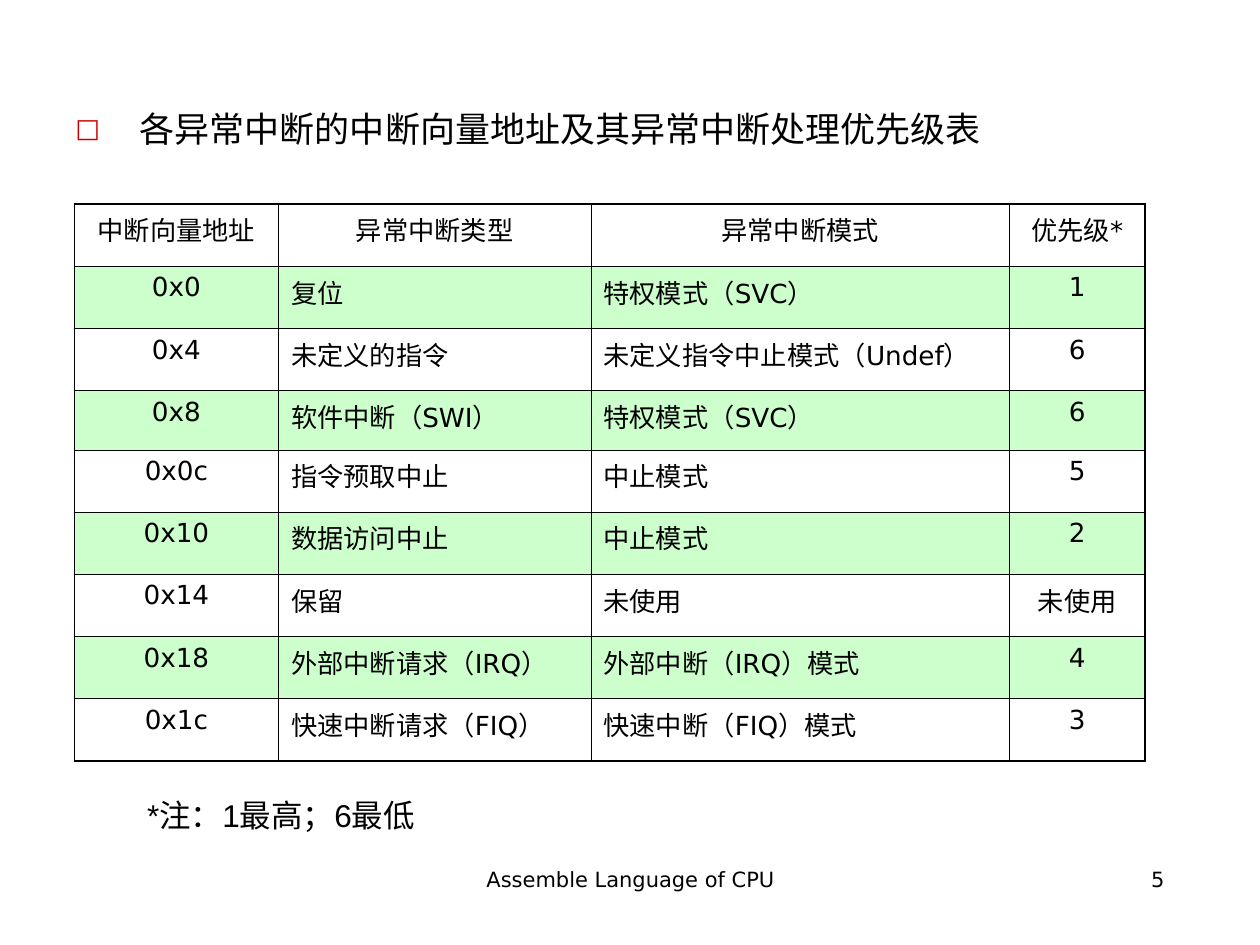
from lxml import etree
from pptx import Presentation
from pptx.dml.color import RGBColor
from pptx.enum.text import PP_ALIGN
from pptx.oxml.ns import qn
from pptx.util import Inches, Pt

COLORS = {"text": "000000", "line": "000000", "bullet": "CC0000", "band": "CCFFCC"}
FONT, NOTE_FONT = "DejaVu Sans", "Arial"

TITLE = "各异常中断的中断向量地址及其异常中断处理优先级表"
NOTE = "*注：1最高；6最低"
FOOTER = "Assemble Language of CPU"
PAGE = "5"
ROWS = [
    ("中断向量地址", "异常中断类型", "异常中断模式", "优先级*"),
    ("0x0", "复位", "特权模式（SVC）", "1"),
    ("0x4", "未定义的指令", "未定义指令中止模式（Undef）", "6"),
    ("0x8", "软件中断（SWI）", "特权模式（SVC）", "6"),
    ("0x0c", "指令预取中止", "中止模式", "5"),
    ("0x10", "数据访问中止", "中止模式", "2"),
    ("0x14", "保留", "未使用", "未使用"),
    ("0x18", "外部中断请求（IRQ）", "外部中断（IRQ）模式", "4"),
    ("0x1c", "快速中断请求（FIQ）", "快速中断（FIQ）模式", "3"),
]
COL_WIDTHS = [1.62, 2.48, 3.32, 1.08]
TABLE_LEFT, TABLE_TOP, TABLE_HEIGHT = 0.59, 1.62, 4.42
SHORT_ROW, SHORT_HEIGHT = 3, 0.47
INNER, OUTER = 0.45, 1.08


def write(p, text, size, font=FONT, align=PP_ALIGN.LEFT):
    p.alignment = align
    r = p.add_run()
    r.text = text
    r.font.size = Pt(size)
    r.font.name = font
    r.font.color.rgb = RGBColor.from_string(COLORS["text"])


def add_text(s, box, text, size, font=FONT, align=PP_ALIGN.LEFT):
    tf = s.shapes.add_textbox(*map(Inches, box)).text_frame
    tf.word_wrap = True
    write(tf.paragraphs[0], text, size, font, align)
    return tf


def add_bullet(p, char, color, indent, percent):
    pPr = p._p.get_or_add_pPr()
    pPr.set("marL", str(Inches(indent)))
    pPr.set("indent", str(-Inches(indent)))
    clr = etree.SubElement(pPr, qn("a:buClr"))
    etree.SubElement(clr, qn("a:srgbClr"), val=color)
    etree.SubElement(pPr, qn("a:buSzPct"), val=str(percent * 1000))
    etree.SubElement(pPr, qn("a:buFont"), typeface=FONT)
    etree.SubElement(pPr, qn("a:buChar"), char=char)


def set_borders(cell, widths):
    """Draw the left, right, top and bottom borders, widths in points."""
    tcPr = cell._tc.get_or_add_tcPr()
    for i, (side, width) in enumerate(zip("LRTB", widths)):
        ln = etree.Element(qn(f"a:ln{side}"), w=str(Pt(width)))
        fill = etree.SubElement(ln, qn("a:solidFill"))
        etree.SubElement(fill, qn("a:srgbClr"), val=COLORS["line"])
        tcPr.insert(i, ln)


def add_vector_table(s):
    n_rows, n_cols = len(ROWS), len(COL_WIDTHS)
    table = s.shapes.add_table(
        n_rows, n_cols, Inches(TABLE_LEFT), Inches(TABLE_TOP),
        Inches(sum(COL_WIDTHS)), Inches(TABLE_HEIGHT)).table
    table.first_row = table.horz_banding = False
    for col, width in zip(table.columns, COL_WIDTHS):
        col.width = Inches(width)
    row_height = (TABLE_HEIGHT - SHORT_HEIGHT) / (n_rows - 1)
    for i, values in enumerate(ROWS):
        table.rows[i].height = Inches(SHORT_HEIGHT if i == SHORT_ROW else row_height)
        for j, text in enumerate(values):
            cell = table.cell(i, j)
            if i % 2:
                cell.fill.solid()
                cell.fill.fore_color.rgb = RGBColor.from_string(COLORS["band"])
            else:
                cell.fill.background()
            on_edge = (j == 0, j == n_cols - 1, i == 0, i == n_rows - 1)
            set_borders(cell, [OUTER if edge else INNER for edge in on_edge])
            centred = i == 0 or j in (0, n_cols - 1)
            write(cell.text_frame.paragraphs[0], text, 15,
                  align=PP_ALIGN.CENTER if centred else PP_ALIGN.LEFT)


def main():
    prs = Presentation()
    prs.slide_width, prs.slide_height = Inches(10), Inches(7.5)
    s = prs.slides.add_slide(prs.slide_layouts[6])

    add_text(s, (3.42, 6.83, 3.17, 0.52), FOOTER, 12, align=PP_ALIGN.CENTER)
    add_text(s, (7.17, 6.83, 2.17, 0.52), PAGE, 12, align=PP_ALIGN.RIGHT)
    title = add_text(s, (0.5, 0.84, 8.12, 0.58), TITLE, 20).paragraphs[0]
    add_bullet(title, "□", COLORS["bullet"], 0.51, 75)
    title.line_spacing = 0.9
    add_vector_table(s)
    add_text(s, (1.07, 6.27, 2.8, 0.4), NOTE, 18, NOTE_FONT)

    prs.save("out.pptx")


if __name__ == "__main__":
    main()
